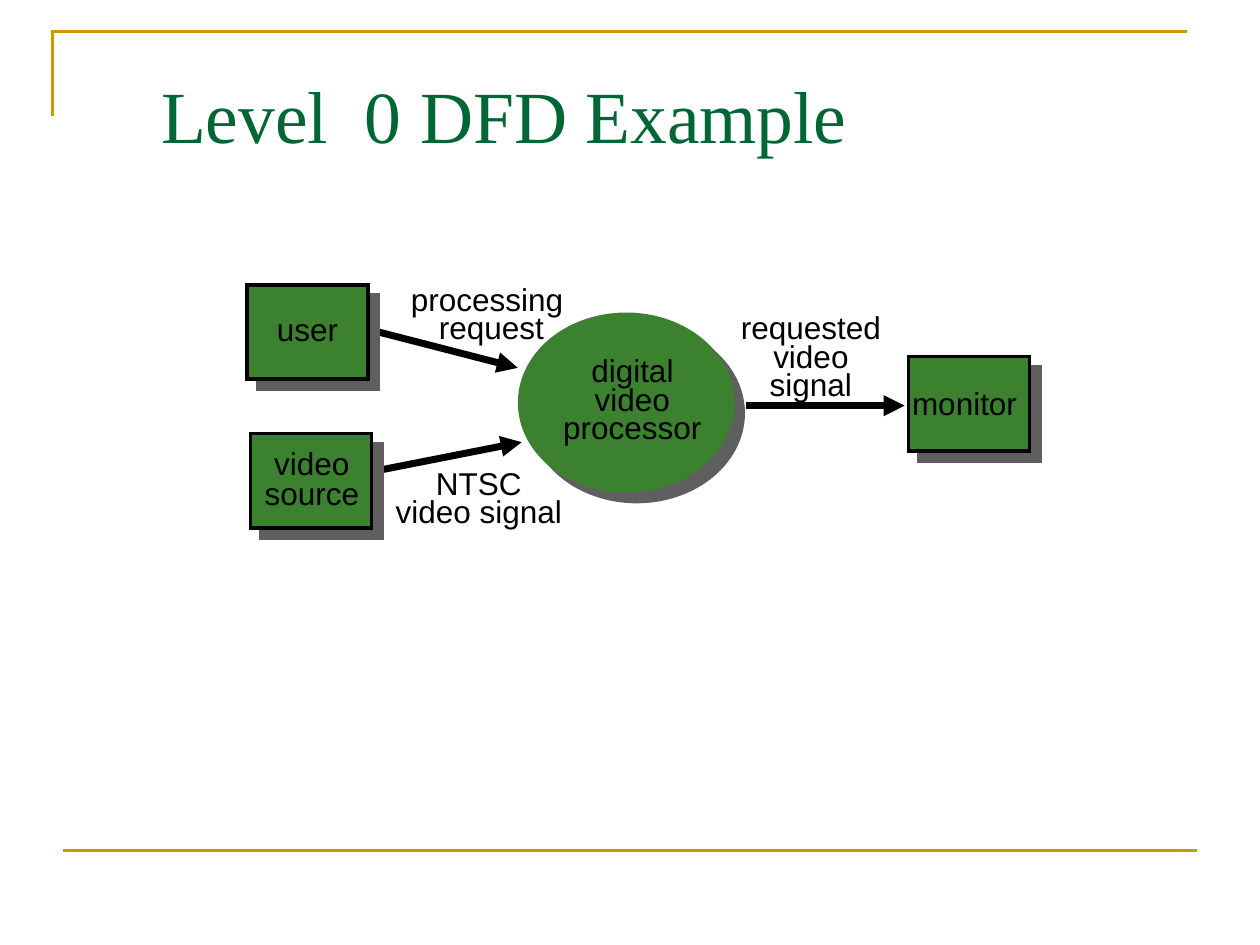
from lxml import etree
from pptx import Presentation
from pptx.dml.color import RGBColor
from pptx.enum import shapes, text
from pptx.oxml import ns
from pptx.util import Pt

GOLD = RGBColor(0xCC, 0x99, 0x00)
TITLE_GREEN = RGBColor(0x00, 0x66, 0x33)
NODE_GREEN = RGBColor(0x3B, 0x81, 0x2F)
SHADOW_GRAY = RGBColor(0x5F, 0x5F, 0x5F)
BLACK = RGBColor(0, 0, 0)

NODE_W, NODE_H = 69.1, 54
NODES = [(0.1, 1.7), (2.3, 86.7), (378.1, 42.8)]
PROCESS = (154.9, 17.6, 123.8, 103)
FLOWS = [
    (62.8, 25.5, 154.9, 49.2),
    (62, 110.4, 157.1, 91.7),
    (285.2, 70.8, 376, 70.8),
]
LABELS = [
    (["user"], (10.2, 12.5, 52, 28.8), None),
    (["processing ", "request"], (86.5, 0.3, 106.6, 39.6), 0.75),
    (["video", "source"], (3, 93.2, 68.4, 41.8), 0.8),
    (["NTSC", "video signal"], (77.9, 105.4, 109.4, 39.6), 0.75),
    (["digital", "video", "processor"], (173.6, 41.3, 93.6, 55.4), 0.75),
    (["requested", "video", "signal"], (275.2, 16.8, 94.3, 55.4), 0.75),
    (["monitor"], (373.1, 55, 76, 28.8), None),
]


def add_text(s, lines, box, size=18, font="Arial", color=BLACK, align=None,
             spacing=None, wrap=False, anchor=text.MSO_ANCHOR.TOP):
    """Add a text box with one paragraph for each line."""
    tf = s.shapes.add_textbox(*map(Pt, box)).text_frame
    tf.word_wrap = wrap
    tf.vertical_anchor = anchor
    if not wrap:
        tf.auto_size = text.MSO_AUTO_SIZE.SHAPE_TO_FIT_TEXT
    for i, line in enumerate(lines):
        p = tf.paragraphs[0] if i == 0 else tf.add_paragraph()
        p.alignment = align
        p.line_spacing = spacing
        r = p.add_run()
        r.text = line
        r.font.size = Pt(size)
        r.font.name = font
        r.font.color.rgb = color


def set_outline(sp, color, width):
    """Give a shape a solid outline with square corners."""
    sp.line.color.rgb = color
    sp.line.width = Pt(width)
    etree.SubElement(sp.line._get_or_add_ln(), ns.qn("a:miter"), lim="800000")


def add_line(s, x1, y1, x2, y2, color, width, arrow=False):
    """Add a straight line, with an arrowhead at its end if asked."""
    sp = s.shapes.add_connector(shapes.MSO_CONNECTOR.STRAIGHT,
                                *map(Pt, (x1, y1, x2, y2)))
    set_outline(sp, color, width)
    if arrow:
        etree.SubElement(sp.line._get_or_add_ln(), ns.qn("a:tailEnd"),
                         type="triangle")
    etree.SubElement(sp._element.spPr, ns.qn("a:effectLst"))


def add_node(s, kind, box, outline=None):
    """Add a green shape with a hard diagonal shadow."""
    sp = s.shapes.add_shape(kind, *map(Pt, box))
    sp.fill.solid()
    sp.fill.fore_color.rgb = NODE_GREEN
    if outline:
        set_outline(sp, BLACK, outline)
    else:
        sp.line.fill.background()
    sp.shadow.inherit = False
    effects = sp._element.spPr.find(ns.qn("a:effectLst"))
    shadow = etree.SubElement(effects, ns.qn("a:outerShdw"), blurRad="0",
                              dist=str(Pt(8.5)), dir=str(45 * 60000),
                              algn="ctr", rotWithShape="0")
    etree.SubElement(shadow, ns.qn("a:srgbClr"), val=str(SHADOW_GRAY))


def add_frame(s, x, y, w, h):
    """Draw the gold corner at the top and the gold line at the bottom."""
    fb = s.shapes.build_freeform(Pt(x), Pt(y + 48.2))
    fb.add_line_segments([(Pt(x), Pt(y)), (Pt(x + 648), Pt(y))], close=False)
    sp = fb.convert_to_shape()
    sp.fill.background()
    set_outline(sp, GOLD, 1.5)
    sp.shadow.inherit = False
    add_line(s, x + w - 648, y + h, x + w, y + h, GOLD, 1.5)


def add_title(s, x, y, w, h):
    """Place the slide title."""
    add_text(s, ["Level  0 DFD Example"], (x, y, w, h), size=42,
             font="Times New Roman", color=TITLE_GREEN, wrap=True,
             anchor=text.MSO_ANCHOR.MIDDLE)


def add_diagram(s, x, y):
    """Draw the data flow diagram from its top left corner."""
    px, py, pw, ph = PROCESS
    add_node(s, shapes.MSO_SHAPE.OVAL, (x + px, y + py, pw, ph))
    for x1, y1, x2, y2 in FLOWS:
        add_line(s, x + x1, y + y1, x + x2, y + y2, BLACK, 4, arrow=True)
    for nx, ny in NODES:
        add_node(s, shapes.MSO_SHAPE.RECTANGLE,
                 (x + nx, y + ny, NODE_W, NODE_H), outline=2)
    for lines, (lx, ly, w, h), spacing in LABELS:
        align = text.PP_ALIGN.CENTER if len(lines) > 1 else None
        add_text(s, lines, (x + lx, y + ly, w, h), align=align,
                 spacing=spacing)


def main():
    """Build the slide and save it."""
    prs = Presentation()
    prs.slide_width, prs.slide_height = Pt(720), Pt(540)
    s = prs.slides.add_slide(prs.slide_layouts[6])
    add_frame(s, 30.2, 18, 653.8, 468)
    add_title(s, 85, 34.6, 563.8, 61.2)
    add_diagram(s, 141, 161)
    prs.save("out.pptx")


if __name__ == "__main__":
    main()
